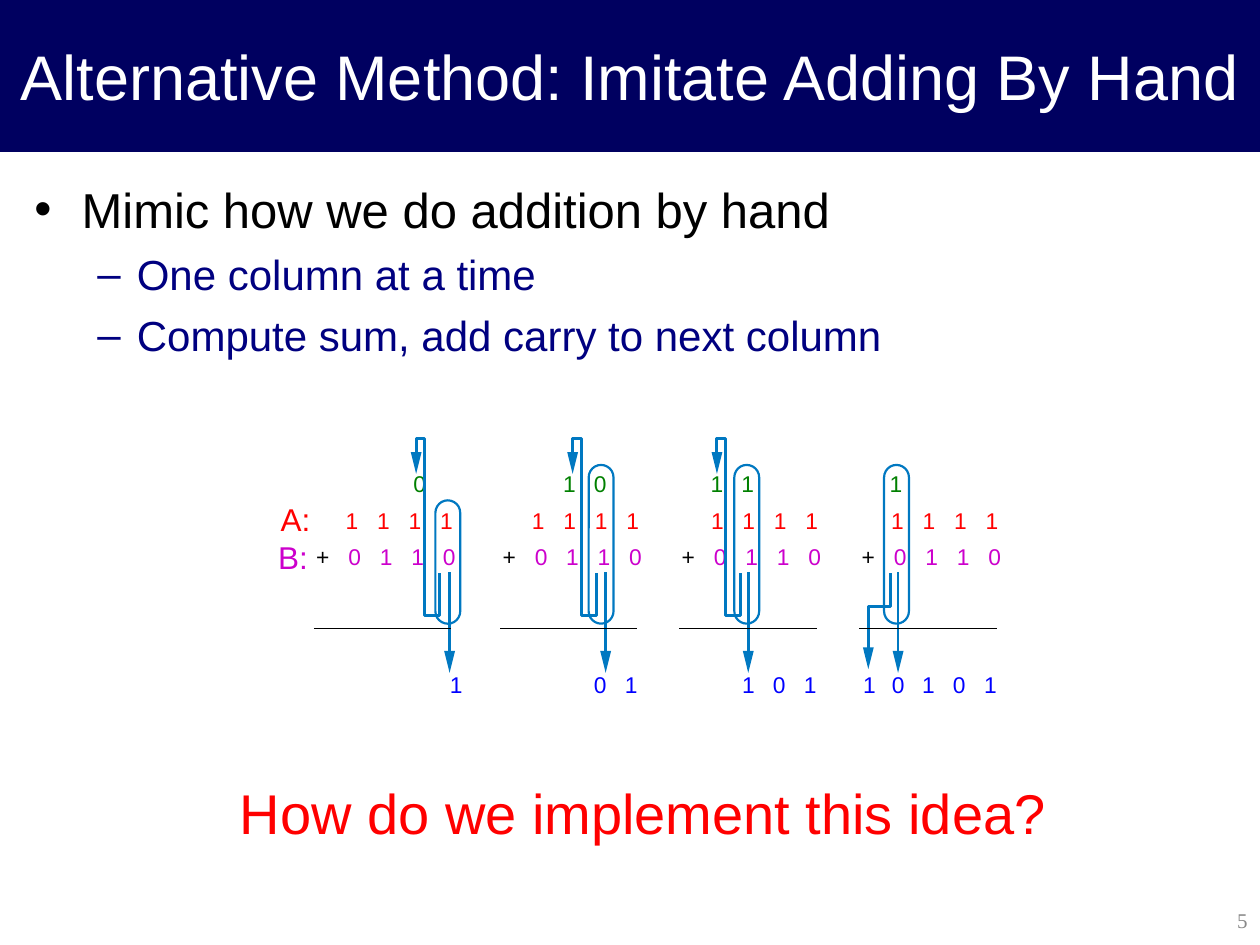
from lxml import etree
from pptx import Presentation
from pptx.dml.color import RGBColor
from pptx.enum import shapes, text
from pptx.oxml import ns
from pptx.util import Pt

COLORS = {
    "banner": "000060", "white": "FFFFFF", "black": "000000", "navy": "000080",
    "gray": "898989", "red": "FF0000", "magenta": "CC00CC", "green": "008000",
    "blue": "0000FF", "arrow": "0078C1",
}
DIGIT_SPACING = 3.61
LEFT, CENTER, RIGHT = text.PP_ALIGN.LEFT, text.PP_ALIGN.CENTER, text.PP_ALIGN.RIGHT
TOP, MIDDLE = text.MSO_ANCHOR.TOP, text.MSO_ANCHOR.MIDDLE


def rgb(color):
    """Return the palette colour with the given name."""
    return RGBColor.from_string(COLORS[color])


def add_bullet(paragraph, bullet, margin, hanging, color):
    """Give a paragraph a coloured bullet and a hanging indent."""
    properties = paragraph._p.get_or_add_pPr()
    properties.set("marL", str(Pt(margin)))
    properties.set("indent", str(-Pt(hanging)))
    bullet_color = etree.SubElement(properties, ns.qn("a:buClr"))
    etree.SubElement(bullet_color, ns.qn("a:srgbClr"), val=COLORS[color])
    etree.SubElement(properties, ns.qn("a:buFont"), typeface="Arial")
    etree.SubElement(properties, ns.qn("a:buChar"), char=bullet)


def add_run(paragraph, words, size, color, font="Arial", spacing=0):
    """Append a formatted run to a paragraph."""
    run = paragraph.add_run()
    run.text = words
    run.font.size, run.font.name = Pt(size), font
    run.font.color.rgb = rgb(color)
    if spacing:
        run._r.get_or_add_rPr().set("spc", str(round(spacing * 100)))


def add_text(slide, words, box, size=13, color="black", font="Arial", align=LEFT,
             anchor=TOP, inset=(0, 0), spacing=0):
    """Add a text box holding one paragraph of a string or (string, colour) runs."""
    frame = slide.shapes.add_textbox(*map(Pt, box)).text_frame
    frame.word_wrap, frame.vertical_anchor = True, anchor
    frame.margin_left = frame.margin_right = Pt(inset[0])
    frame.margin_top = frame.margin_bottom = Pt(inset[1])
    paragraph = frame.paragraphs[0]
    paragraph.alignment = align
    for part, part_color in [(words, color)] if isinstance(words, str) else words:
        add_run(paragraph, part, size, part_color, font, spacing)
    return frame


def add_line(slide, start, end, color, width):
    """Draw a straight line without a shadow."""
    line = slide.shapes.add_connector(
        shapes.MSO_CONNECTOR.STRAIGHT, *map(Pt, (*start, *end)))
    line.line.color.rgb, line.line.width = rgb(color), Pt(width)
    etree.SubElement(line._element.spPr, ns.qn("a:effectLst"))


def add_outline(slide, points, closed=False):
    """Draw a bent line, or a filled shape when closed."""
    corners = [(Pt(x), Pt(y)) for x, y in points]
    builder = slide.shapes.build_freeform(*corners[0])
    builder.add_line_segments(corners[1:], close=closed)
    outline = builder.convert_to_shape()
    outline.shadow.inherit = False
    if closed:
        outline.fill.solid()
        outline.fill.fore_color.rgb = rgb("arrow")
        outline.line.fill.background()
    else:
        outline.fill.background()
        outline.line.color.rgb, outline.line.width = rgb("arrow"), Pt(1.62)


def add_arrowhead(slide, x, tip):
    """Draw a downward arrowhead with its tip at the given point."""
    add_outline(slide, [(x, tip), (x + 3.1, tip - 12.5), (x - 3.1, tip - 12.5)], True)


def add_banner(slide, box, title):
    """Draw the title on its dark band."""
    band = slide.shapes.add_shape(shapes.MSO_SHAPE.RECTANGLE, *map(Pt, box))
    band.shadow.inherit = False
    band.fill.solid()
    band.fill.fore_color.rgb = band.line.color.rgb = rgb("banner")
    band.line.width = Pt(0.75)
    add_text(slide, title, box, 36, "white", align=CENTER, anchor=MIDDLE, inset=(7.2, 3.6))


def add_bullets(slide, box, heading, details):
    """Add the main bullet and its sub-bullets."""
    frame = add_text(slide, heading, box, 28, inset=(7.2, 3))
    add_bullet(frame.paragraphs[0], "•", 27, 27, "black")
    for detail in details:
        paragraph = frame.add_paragraph()
        paragraph.level, paragraph.space_before = 1, Pt(6)
        add_bullet(paragraph, "–", 58.5, 22.5, "navy")
        add_run(paragraph, detail, 24, "navy")


def add_step(slide, box, carries, sums, lasso, sum_arrow, carry_arrow):
    """Draw one column step of the addition within its box."""
    left, top, width, _ = box

    def add_digits(digits, y, color):
        """Place (digit, offset) pairs on one row."""
        for digit, offset in digits:
            add_text(slide, digit, (left + offset, top + y, 7.5, 15.8), color=color)

    add_text(slide, "1 1 1 1", (left + 18.2, top + 38.9, 70, 15.8),
             color="red", spacing=DIGIT_SPACING)
    add_text(slide, [("+ ", "black"), ("0 1 1 0", "magenta")],
             (left + 1.4, top + 59.8, 90, 15.8), spacing=DIGIT_SPACING)
    add_digits(carries, 18, "green")
    add_digits(sums, 132.5, "blue")

    x = left + sum_arrow
    add_line(slide, (x, top + 76.3), (x, top + 126), "arrow", 1.62)
    add_arrowhead(slide, x, top + 133.9)

    x = left + carry_arrow
    if len(sums) < 5:
        bends = [(0, 12.2), (0, 0), (4.9, 0), (4.9, 100.9), (13.5, 100.9), (13.5, 77)]
        tip = 20.2
    else:
        bends = [(0, 124), (0, 95.8), (12.8, 95.8), (12.8, 77)]
        tip = 131.8
    add_outline(slide, [(x + dx, top + dy) for dx, dy in bends])
    add_arrowhead(slide, x, top + tip)

    lasso_top = 35.3 if len(sums) == 1 else 15.1
    ring = slide.shapes.add_shape(
        shapes.MSO_SHAPE.ROUNDED_RECTANGLE,
        *map(Pt, (left + lasso, top + lasso_top, 14.2, 105.8 - lasso_top)))
    ring.adjustments[0] = 0.5
    ring.shadow.inherit = False
    ring.fill.background()
    ring.line.color.rgb, ring.line.width = rgb("arrow"), Pt(1.25)
    add_line(slide, (left, top + 108.7), (left + width, top + 108.7), "black", 0.75)


def add_addition(slide, box):
    """Draw the four addition steps and the operand labels."""
    left, top, _, height = box
    places = [2.2, 18.7, 36, 53.5, 71.3]
    steps = [
        (27.4, [("0", 56.9)], [("1", 77.8)], 69.5, 77.6, 58.5),
        (133.9, [("1", 36), ("0", 53.5)], list(zip("01", places[3:])), 50.6, 60.3, 41.4),
        (236.2, [("1", 18), ("1", 35.5)], list(zip("101", places[2:])), 31.5, 39.5, 21.6),
        (339.1, [("1", 17.3)], list(zip("10101", places)), 14.2, 22.2, 5.2),
    ]
    for offset, *parts in steps:
        add_step(slide, (left + offset, top, 78.5, height), *parts)
    for label, x, y, color in [("A:", 1.4, 31.7, "red"), ("B:", 0, 53.2, "magenta")]:
        add_text(slide, label, (left + x, top + y, 36, 28.8), 18, color, inset=(7.2, 3.6))


def main():
    """Build and save the slide."""
    deck = Presentation()
    deck.slide_width, deck.slide_height = Pt(720), Pt(540)
    slide = deck.slides.add_slide(deck.slide_layouts[6])
    add_banner(slide, (0, 0, 720, 86.4), "Alternative Method: Imitate Adding By Hand")
    add_bullets(slide, (12.6, 99.4, 695.5, 411.8), "Mimic how we do addition by hand",
                ["One column at a time", "Compute sum, add carry to next column"])
    add_addition(slide, (151.9, 250.6, 417.6, 150))
    add_text(slide, "How do we implement this idea?", (129.9, 441.4, 480.2, 46.1), 32, "red",
             inset=(7.2, 3.6))
    add_text(slide, "5", (567.4, 511.2, 152.6, 28.8), 12, "gray", "Times New Roman",
             RIGHT, MIDDLE, (7.2, 3.6))
    deck.save("out.pptx")


if __name__ == "__main__":
    main()
